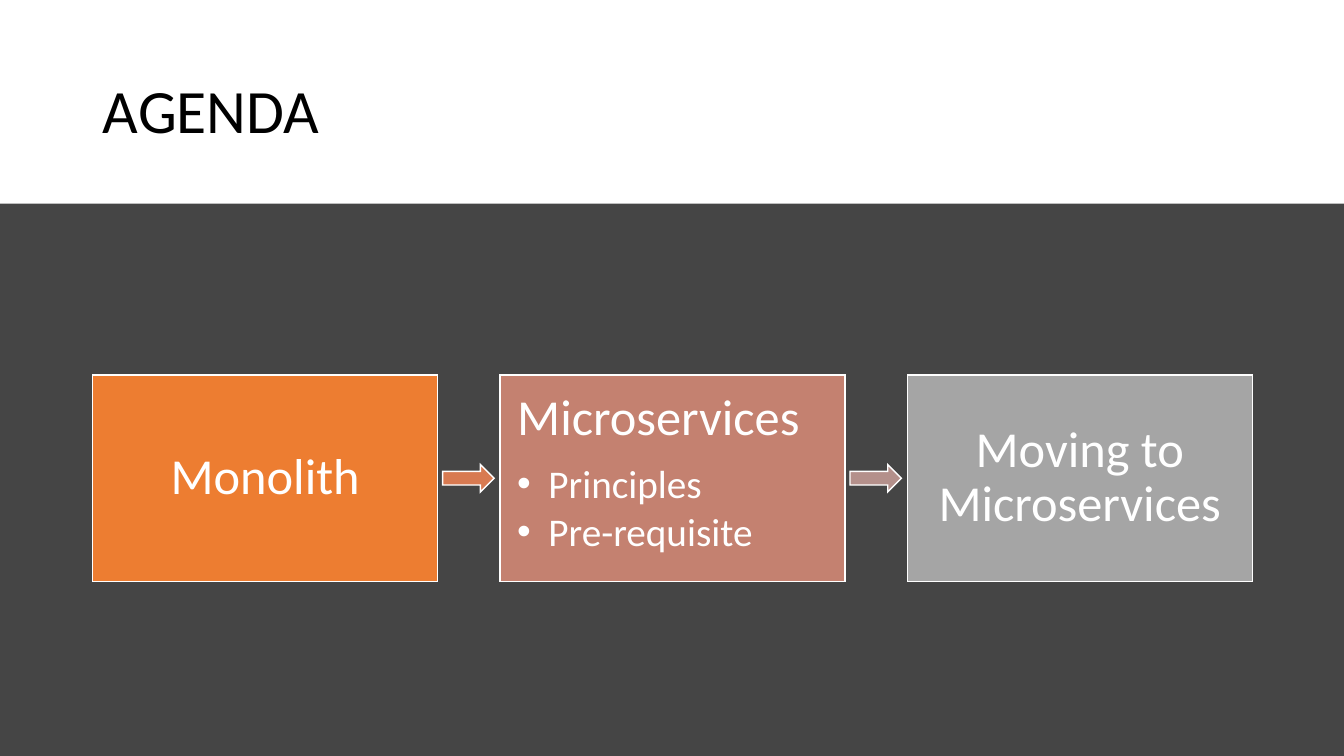
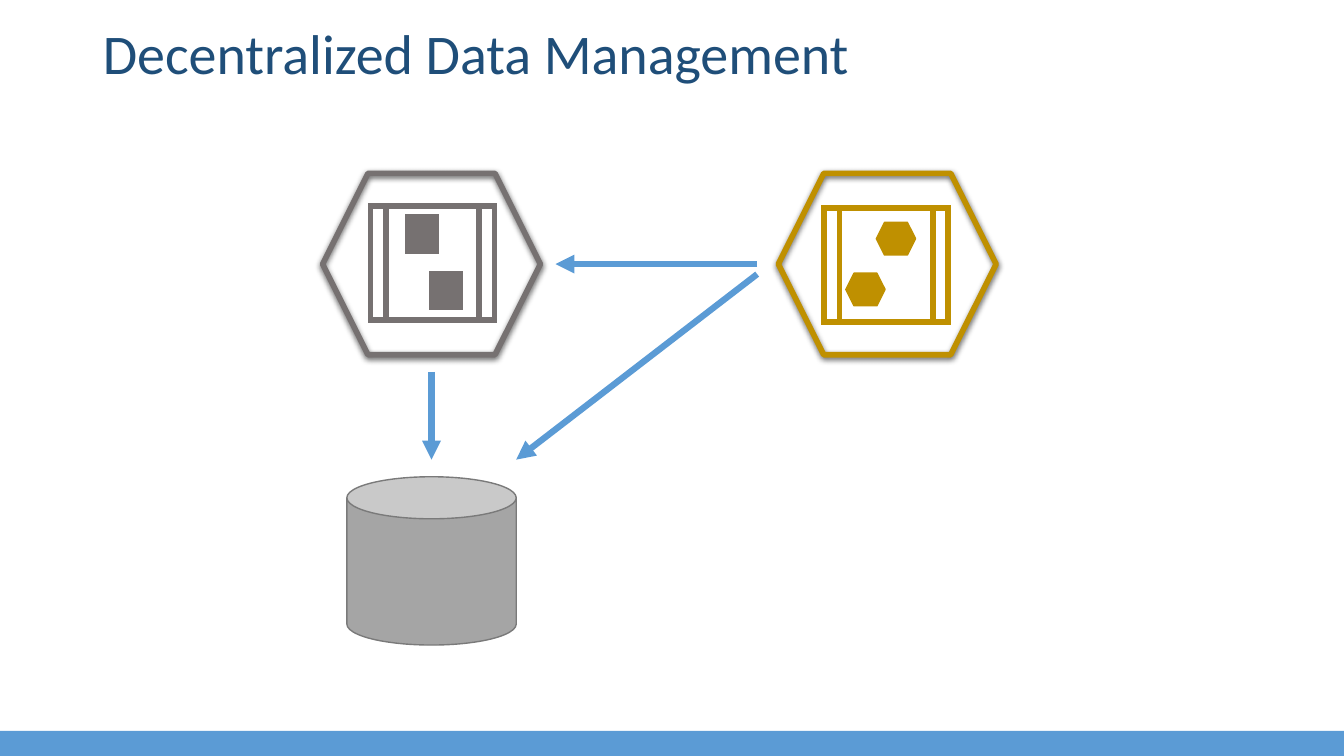
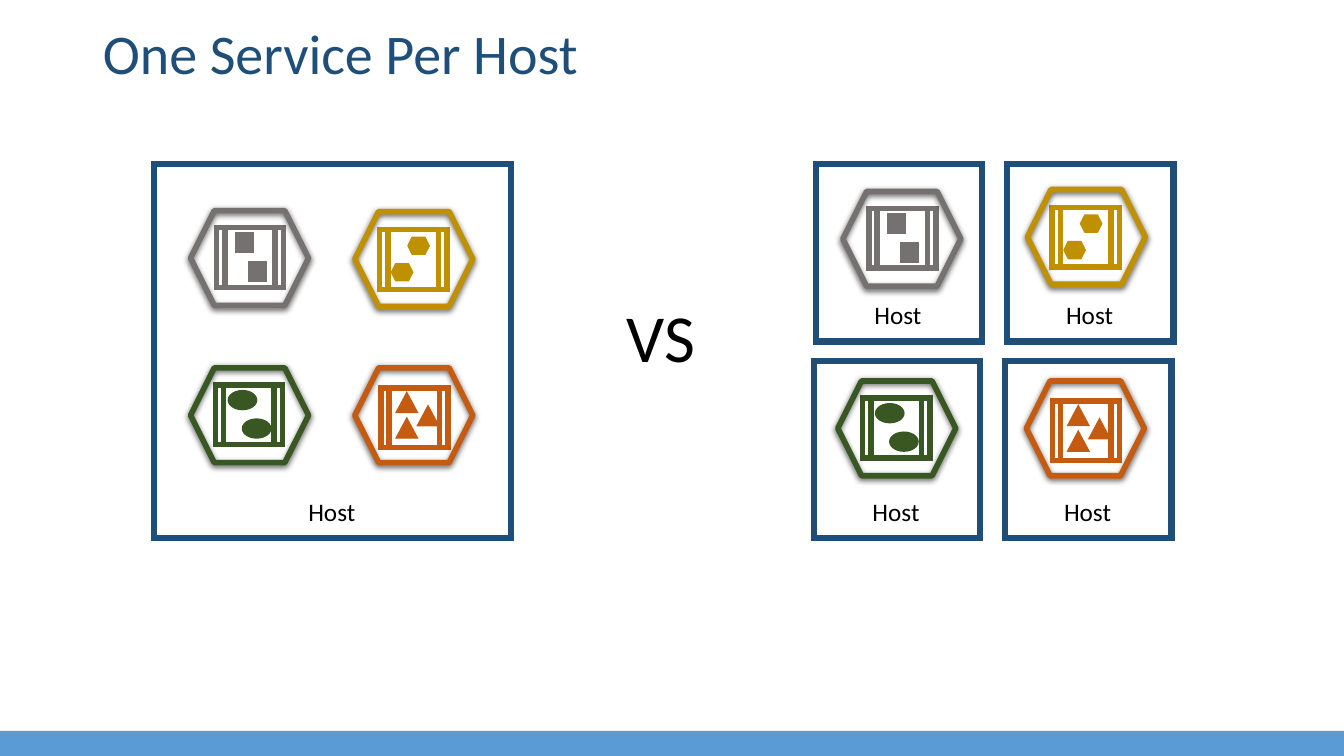
from dataclasses import dataclass
from typing import NamedTuple, Optional

from lxml import etree
from pptx import Presentation
from pptx import util as u
from pptx.dml.color import RGBColor
from pptx.enum import shapes as kinds, text
from pptx.oxml import ns

FONT = "Calibri"
COLORS = {
    "black": "000000", "white": "FFFFFF", "charcoal": "454545",
    "band": "5B9BD5", "navy": "1F4E79", "gray": "767171", "gold": "BF9000",
    "green": "385723", "rust": "C55A11", "orange": "ED7D31",
    "salmon": "C48170", "silver": "A5A5A5", "can_edge": "7A7A7A",
    "arrow_orange": "D87A51", "arrow_rose": "B4908B",
}
SHAPE = kinds.MSO_SHAPE
ALIGN = text.PP_ALIGN
ANCHOR = text.MSO_ANCHOR


class Frame(NamedTuple):
    left: float
    top: float
    width: float
    height: float

    def lengths(self) -> list:
        return [u.Inches(value) for value in self]

    def inner(self, left: float, top: float, width: float, height: float) -> "Frame":
        """Return the frame at the given fractions of this one."""
        return Frame(self.left + left * self.width, self.top + top * self.height,
                     width * self.width, height * self.height)


@dataclass
class Service:
    """A hexagon icon; places and sizes are fractions of the hexagon."""
    color: str
    process: tuple
    token: SHAPE
    token_size: tuple
    tokens: list


@dataclass
class Step:
    heading: str
    color: str
    bullets: tuple = ()
    arrow_color: Optional[str] = None


class Host(NamedTuple):
    frame: Frame
    services: list


GRAY = Service("gray", (0.22, 0.18), SHAPE.RECTANGLE, (0.15, 0.21),
               [(0.38, 0.23), (0.49, 0.54)])
GOLD = Service("gold", (0.21, 0.19), SHAPE.HEXAGON, (0.18, 0.18),
               [(0.45, 0.27), (0.31, 0.55)])
GREEN = Service("green", (0.21, 0.18), SHAPE.OVAL, (0.24, 0.2),
                [(0.32, 0.24), (0.44, 0.54)])
RUST = Service("rust", (0.22, 0.21), SHAPE.ISOSCELES_TRIANGLE, (0.18, 0.21),
               [(0.35, 0.26), (0.53, 0.4), (0.35, 0.53)])
PROCESS_SIZE = (0.57, 0.63)
LARGE_ICON = (2.16, 1.8)
SMALL_ICON = (1.17, 0.94)
HOST_SIZE = (1.65, 1.76)

STEPS = [
    Step("Monolith", "orange", arrow_color="arrow_orange"),
    Step("Microservices", "salmon", ("Principles", "Pre-requisite"), "arrow_rose"),
    Step("Moving to Microservices", "silver"),
]
SHARED_HOST = Host(Frame(1.53, 1.63, 3.54, 3.71), [
    (GRAY, 1.89, 2.09), (GOLD, 3.52, 2.1), (GREEN, 1.89, 3.65), (RUST, 3.52, 3.65)])
SINGLE_HOSTS = [
    Host(Frame(8.09, 1.63, *HOST_SIZE), [(GRAY, 8.36, 1.9)]),
    Host(Frame(9.99, 1.63, *HOST_SIZE), [(GOLD, 10.19, 1.88)]),
    Host(Frame(8.07, 3.58, *HOST_SIZE), [(GREEN, 8.31, 3.78)]),
    Host(Frame(9.97, 3.58, *HOST_SIZE), [(RUST, 10.18, 3.78)]),
]
CALLS = [(4.28, 3.69, 4.28, 4.56), (7.51, 2.72, 5.12, 4.56), (7.51, 2.62, 5.51, 2.62)]


def rgb(name: str) -> RGBColor:
    return RGBColor.from_string(COLORS[name])


def add_xml(parent, tag: str, **attributes: str):
    return etree.SubElement(parent, ns.qn(tag), attributes)


def style_font(para, size: float, color: str) -> None:
    for span in para.runs:
        span.font.name = FONT
        span.font.size = u.Pt(size)
        span.font.color.rgb = rgb(color)


def add_box(shapes, kind: SHAPE, frame: Frame, fill: Optional[str] = None,
            line: Optional[str] = None, width: float = 1):
    box = shapes.add_shape(kind, *frame.lengths())
    box.shadow.inherit = False
    if fill:
        box.fill.solid()
        box.fill.fore_color.rgb = rgb(fill)
    else:
        box.fill.background()
    if line:
        box.line.color.rgb = rgb(line)
        box.line.width = u.Pt(width)
        if kind != SHAPE.HEXAGON:
            add_xml(box.element.spPr.find(ns.qn("a:ln")), "a:miter", lim="800000")
    else:
        box.line.fill.background()
    return box


def add_drop_shadow(box) -> None:
    effects = box.element.spPr.find(ns.qn("a:effectLst"))
    shadow = add_xml(effects, "a:outerShdw", blurRad=str(u.Pt(4.5)), dist=str(u.Pt(1.5)),
                     dir="5400000", algn="ctr", rotWithShape="0")
    add_xml(add_xml(shadow, "a:srgbClr", val=COLORS["black"]), "a:alpha", val="63000")


def add_label(shapes, words: str, frame: Frame, size: float) -> None:
    label = shapes.add_textbox(*frame.lengths())
    label.text_frame.word_wrap = False
    label.text_frame.auto_size = text.MSO_AUTO_SIZE.SHAPE_TO_FIT_TEXT
    label.text_frame.text = words
    style_font(label.text_frame.paragraphs[0], size, "black")


def add_arrow(shapes, ends: tuple) -> None:
    arrow = shapes.add_connector(kinds.MSO_CONNECTOR.STRAIGHT,
                                 *[u.Inches(value) for value in ends])
    arrow.line.color.rgb = rgb("band")
    arrow.line.width = u.Pt(4.5)
    properties = arrow.element.spPr
    add_xml(properties.find(ns.qn("a:ln")), "a:tailEnd", type="triangle")
    add_xml(properties, "a:effectLst")


def add_slide(deck, title: str, frame: Frame = Frame(0.92, 0.19, 11.28, 0.73),
              size: float = 40, color: str = "navy"):
    slide = deck.slides.add_slide(deck.slide_layouts.get_by_name("Title Only"))
    box = slide.shapes.title
    box.left, box.top, box.width, box.height = frame.lengths()
    box.text_frame.text = title
    box.text_frame.auto_size = text.MSO_AUTO_SIZE.NONE
    box.text_frame.vertical_anchor = ANCHOR.MIDDLE
    para = box.text_frame.paragraphs[0]
    para.alignment = ALIGN.LEFT
    para.line_spacing = 0.9
    style_font(para, size, color)
    return slide


def move_band_to_master(deck, slide) -> None:
    """Put the footer band on the master, so that every slide shows it."""
    band = add_box(slide.shapes, SHAPE.RECTANGLE, Frame(0, 7.25, 13.33, 0.25), "band")
    deck.slide_master.shapes.element.insert(2, band.element)


def add_service(shapes, service: Service, frame: Frame) -> None:
    color = service.color
    add_box(shapes, SHAPE.FLOWCHART_PREDEFINED_PROCESS,
            frame.inner(*service.process, *PROCESS_SIZE), line=color, width=4)
    for place in service.tokens:
        add_box(shapes, service.token, frame.inner(*place, *service.token_size), color, color)
    add_drop_shadow(add_box(shapes, SHAPE.HEXAGON, frame, line=color, width=4))


def add_host(shapes, host: Host) -> None:
    frame = host.frame
    add_box(shapes, SHAPE.RECTANGLE, frame, "white", "navy", 4.5)
    for service, left, top in host.services:
        add_service(shapes, service, Frame(left, top, *SMALL_ICON))
    add_label(shapes, "Host", Frame(frame.left + frame.width / 2 - 0.34,
                                    frame.top + frame.height - 0.47, 0.67, 0.4), 18)


def add_step(shapes, step: Step, frame: Frame) -> None:
    box = add_box(shapes, SHAPE.RECTANGLE, frame, step.color, "white")
    body = box.text_frame
    body.word_wrap = True
    body.margin_left = body.margin_right = u.Inches(0.17)
    body.margin_top = body.margin_bottom = u.Inches(0.17)
    body.vertical_anchor = ANCHOR.TOP if step.bullets else ANCHOR.MIDDLE
    body.text = "\n".join([step.heading, *step.bullets])
    heading, *bullets = body.paragraphs
    heading.alignment = ALIGN.LEFT if step.bullets else ALIGN.CENTER
    heading.line_spacing = 0.9
    heading.space_after = u.Pt(12.6)
    style_font(heading, 36, "white")
    for para in bullets:
        para.alignment = ALIGN.LEFT
        para.level = 1
        para.line_spacing = 0.9
        para.space_after = u.Pt(4.2)
        properties = para._p.get_or_add_pPr()
        properties.set("marL", str(u.Inches(0.31)))
        properties.set("indent", str(u.Inches(-0.31)))
        add_xml(properties, "a:buFont", typeface="Arial")
        add_xml(properties, "a:buChar", char="•")
        style_font(para, 28, "white")


def build_agenda(deck) -> None:
    slide = add_slide(deck, "AGENDA", Frame(0.92, 0.4, 11.5, 1.45), 44, "black")
    move_band_to_master(deck, slide)
    slide.background.fill.solid()
    slide.background.fill.fore_color.rgb = rgb("black")
    add_box(slide.shapes, SHAPE.RECTANGLE, Frame(0, 0, 13.33, 7.5), "charcoal")
    add_box(slide.shapes, SHAPE.RECTANGLE, Frame(0, -0.01, 13.33, 2.03), "white")
    slide.shapes.element.append(slide.shapes.title.element)
    flow = slide.shapes.add_group_shape().shapes
    for index, step in enumerate(STEPS):
        frame = Frame(0.92 + 4.04 * index, 3.72, 3.42, 2.05)
        add_step(flow, step, frame)
        if step.arrow_color:
            add_box(flow, SHAPE.RIGHT_ARROW,
                    Frame(frame.left + frame.width + 0.05, 4.61, 0.51, 0.27),
                    step.arrow_color, "white")


def build_data_management(deck) -> None:
    slide = add_slide(deck, "Decentralized Data Management")
    for service, left in ((GRAY, 3.2), (GOLD, 7.72)):
        icon = slide.shapes.add_group_shape()
        add_service(icon.shapes, service, Frame(left, 1.72, *LARGE_ICON))
    add_box(slide.shapes, SHAPE.CAN, Frame(3.44, 4.73, 1.68, 1.67), "silver", "can_edge")
    for ends in CALLS:
        add_arrow(slide.shapes, ends)


def build_service_hosts(deck) -> None:
    slide = add_slide(deck, "One Service Per Host")
    for hosts in (SINGLE_HOSTS, [SHARED_HOST]):
        side = slide.shapes.add_group_shape()
        for host in hosts:
            add_host(side.shapes, host)
    add_label(slide.shapes, "VS", Frame(6.12, 2.88, 0.89, 0.91), 48)


def main() -> None:
    deck = Presentation()
    deck.slide_width, deck.slide_height = u.Inches(13.33), u.Inches(7.5)
    build_agenda(deck)
    build_data_management(deck)
    build_service_hosts(deck)
    deck.save("out.pptx")


if __name__ == "__main__":
    main()
